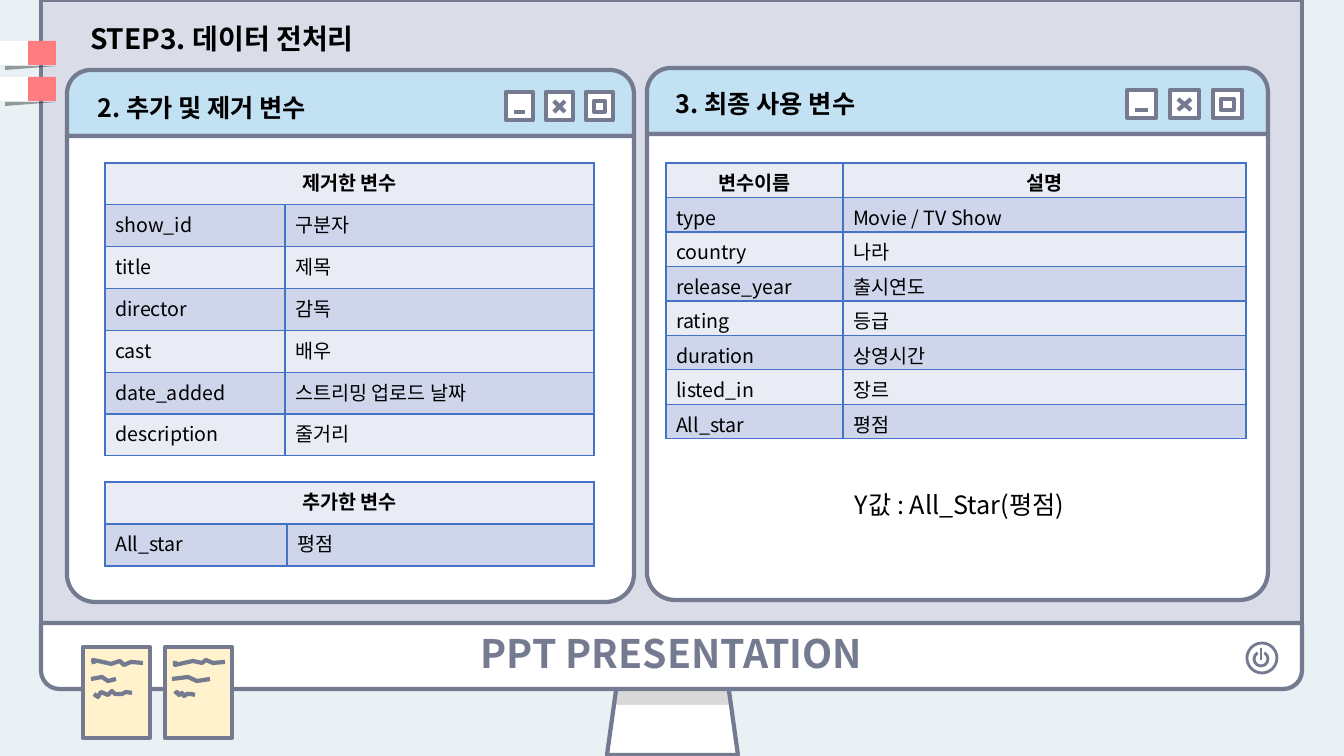
from lxml import etree
from pptx import Presentation
from pptx import util as u
from pptx.dml.color import RGBColor
from pptx.enum import shapes, text
from pptx.oxml.ns import qn

FONT = "Noto Sans CJK KR"
PX = 12192000 / 1344  # EMU in one px
SLATE, WHITE, BLACK = "747A90", "FFFFFF", "000000"
BANDS, BORDER = ("E9EBF5", "CFD5EA"), "4472C4"
SHAPE = shapes.MSO_SHAPE
LEFT, CENTER = text.PP_ALIGN.LEFT, text.PP_ALIGN.CENTER

TITLE = "STEP3. 데이터 전처리"
# left, top, width, first button left, button width, button pitch
WINDOWS = [(67, 70, 567, 506, 27, 40), (647, 68, 621, 1127, 29, 43)]
# text, left, top, width, height, bold, alignment
LABELS = [
    ("2. 추가 및 제거 변수", 88, 87, 312, 40, True, LEFT),
    ("3. 최종 사용 변수", 666, 83, 312, 40, True, LEFT),
    ("Y값 : All_Star(평점)", 672, 484, 575, 40, False, CENTER),
]
# left, top, column widths, height, rows; a one-item row spans the table
TABLES = [
    (105, 163, (180, 309), 293, [
        ("제거한 변수",), ("show_id", "구분자"), ("title", "제목"),
        ("director", "감독"), ("cast", "배우"),
        ("date_added", "스트리밍 업로드 날짜"), ("description", "줄거리")]),
    (105, 482, (182, 307), 84, [("추가한 변수",), ("All_star", "평점")]),
    (666, 163, (177, 403), 276, [
        ("변수이름", "설명"), ("type", "Movie / TV Show"), ("country", "나라"),
        ("release_year", "출시연도"), ("rating", "등급"),
        ("duration", "상영시간"), ("listed_in", "장르"), ("All_star", "평점")]),
]
TAB_TOPS = [41, 77]
# note left, then its scribbled lines
NOTES = [
    (83, [
        [(94, 664), (93, 660), (103, 662), (111, 664), (120, 661), (124, 665),
         (131, 662), (143, 663)],
        [(91, 679), (102, 677), (108, 681), (116, 679)],
        [(94, 694), (98, 697), (101, 692), (108, 695), (112, 691), (115, 694),
         (122, 694), (126, 692), (132, 693)]]),
    (165, [
        [(175, 661), (175, 665), (184, 663), (193, 661), (202, 663), (206, 660),
         (213, 663), (225, 662)],
        [(172, 679), (188, 677), (197, 681), (210, 679)],
        [(175, 694), (177, 692), (179, 695), (182, 693), (184, 696), (187, 694),
         (191, 694), (195, 695)]]),
]


def px(n):
    return u.Emu(round(n * PX))


def rgb(color):
    return RGBColor.from_string(color)


def style(sp, fill=None, line=None, pt=3):
    sp.shadow.inherit = False
    if fill:
        sp.fill.solid()
        sp.fill.fore_color.rgb = rgb(fill)
    else:
        sp.fill.background()
    if line:
        sp.line.color.rgb = rgb(line)
        sp.line.width = u.Pt(pt)
    else:
        sp.line.fill.background()


def add_shape(kind, x, y, w, h, fill=None, line=SLATE, pt=3, adj=()):
    sp = s.shapes.add_shape(kind, px(x), px(y), px(w), px(h))
    for i, value in enumerate(adj):
        sp.adjustments[i] = value
    style(sp, fill, line, pt)
    return sp


def add_line(x1, y1, x2, y2, pt=3):
    ln = s.shapes.add_connector(shapes.MSO_CONNECTOR.STRAIGHT,
                                px(x1), px(y1), px(x2), px(y2))
    ln.line.color.rgb = rgb(SLATE)
    ln.line.width = u.Pt(pt)
    etree.SubElement(ln.element.spPr, qn("a:effectLst"))


def add_outline(points, close=False):
    fb = s.shapes.build_freeform(*points[0], scale=PX)
    fb.add_line_segments(points[1:], close=close)
    return fb.convert_to_shape()


def write(tf, words, size, bold=False, align=LEFT, color=BLACK):
    p = tf.paragraphs[0]
    p.alignment = align
    r = p.add_run()
    r.text = words
    f = r.font
    f.name, f.size, f.bold = FONT, u.Pt(size), bold
    f.color.rgb = rgb(color)
    ea = etree.SubElement(r._r.get_or_add_rPr(), qn("a:ea"))
    ea.set("typeface", FONT)


def add_borders(cell):
    tcPr = cell._tc.get_or_add_tcPr()
    for i, side in enumerate(("a:lnL", "a:lnR", "a:lnT", "a:lnB")):
        ln = etree.Element(qn(side), w=str(u.Pt(1)))
        fill = etree.SubElement(ln, qn("a:solidFill"))
        etree.SubElement(fill, qn("a:srgbClr"), val=BORDER)
        tcPr.insert(i, ln)


def add_table(x, y, widths, h, rows):
    frame = s.shapes.add_table(len(rows), len(widths), px(x), px(y),
                               px(sum(widths)), px(h))
    tbl = frame.table
    for col, w in zip(tbl.columns, widths):
        col.width = px(w)
    for i, row in enumerate(rows):
        tbl.rows[i].height = px(h / len(rows))
        for j in range(len(widths)):
            cell = tbl.cell(i, j)
            cell.margin_bottom = 0
            cell.fill.solid()
            cell.fill.fore_color.rgb = rgb(BANDS[i % 2])
            add_borders(cell)
        if len(row) == 1:
            tbl.cell(i, 0).merge(tbl.cell(i, len(widths) - 1))
        for j, words in enumerate(row):
            write(tbl.cell(i, j).text_frame, words, 14, i == 0,
                  LEFT if i else CENTER)


def add_window(x, y, w, button_x, size, pitch):
    add_shape(SHAPE.ROUND_2_SAME_RECTANGLE, x, y, w, 66, "C2E1F3", adj=(0.36, 0))
    add_shape(SHAPE.ROUND_2_SAME_RECTANGLE, x, y + 66, w, 466, WHITE, adj=(0, 0.06))
    lefts = [button_x + i * pitch for i in range(3)]
    for left in lefts:
        add_shape(SHAPE.RECTANGLE, left, y + 22, size, 28, WHITE)
    minimize, close, maximize = [left + 8 for left in lefts]
    mark, top, bottom = size - 16, y + 31, y + 42
    add_line(minimize, bottom, minimize + mark, bottom)
    add_line(close, top, close + mark, bottom)
    add_line(close, bottom, close + mark, top)
    add_shape(SHAPE.RECTANGLE, maximize, top, mark, 11, WHITE)


prs = Presentation()
prs.slide_width, prs.slide_height = px(1344), px(756)
s = prs.slides.add_slide(prs.slide_layouts[5])
s.background.fill.solid()
s.background.fill.fore_color.rgb = rgb("E9F1F4")

# Monitor
stand = add_shape(SHAPE.TRAPEZOID, 607, 663, 131, 92, WHITE, adj=(0.14,))
stand.fill.gradient()
stand.fill.gradient_angle = 270
for stop, color, position in zip(stand.fill.gradient_stops, ("D9D9D9", WHITE), (0.45, 0.46)):
    stop.color.rgb = rgb(color)
    stop.position = position
add_shape(SHAPE.RECTANGLE, 41, 0, 1261, 623, "DADCE8")
bar = add_shape(SHAPE.ROUND_2_SAME_RECTANGLE, 41, 623, 1261, 66, WHITE, adj=(0, 0.28))
bar.text_frame.vertical_anchor = text.MSO_ANCHOR.MIDDLE
write(bar.text_frame, "PPT PRESENTATION", 28, True, CENTER, SLATE)
add_shape(SHAPE.OVAL, 1247, 643, 30, 30, WHITE, pt=2)
add_shape(SHAPE.ARC, 1254, 652, 14, 14, pt=2, adj=(179, 145))
add_line(1261, 648, 1261, 660, 2)

for top in TAB_TOPS:
    add_shape(SHAPE.RECTANGLE, 28, top, 28, 24, "FF7C80", None)
    add_shape(SHAPE.RECTANGLE, 0, top, 28, 24, WHITE, None)
    shade = add_outline([(5, top + 25), (56, top + 25), (5, top + 29)], True)
    style(shade, BLACK)
    clr = shade.element.spPr.find(qn("a:solidFill"))[0]
    etree.SubElement(clr, qn("a:alpha"), val="37000")

for left, scribbles in NOTES:
    add_shape(SHAPE.RECTANGLE, left, 647, 67, 91, "FFF2CC")
    for points in scribbles:
        style(add_outline(points), line=SLATE)

for window in WINDOWS:
    add_window(*window)
for table in TABLES:
    add_table(*table)

title = s.shapes.title
s.shapes.element.append(title.element)
title.left, title.top, title.width, title.height = px(80), px(16), px(796), px(44)
boxes = [(title, TITLE, 20, True, LEFT)]
for words, x, y, w, h, bold, align in LABELS:
    box = s.shapes.add_textbox(px(x), px(y), px(w), px(h))
    boxes.append((box, words, 18, bold, align))
for sp, words, size, bold, align in boxes:
    tf = sp.text_frame
    tf.word_wrap = True
    tf.auto_size = text.MSO_AUTO_SIZE.SHAPE_TO_FIT_TEXT
    tf.vertical_anchor = text.MSO_ANCHOR.TOP
    write(tf, words, size, bold, align)

prs.save("out.pptx")
